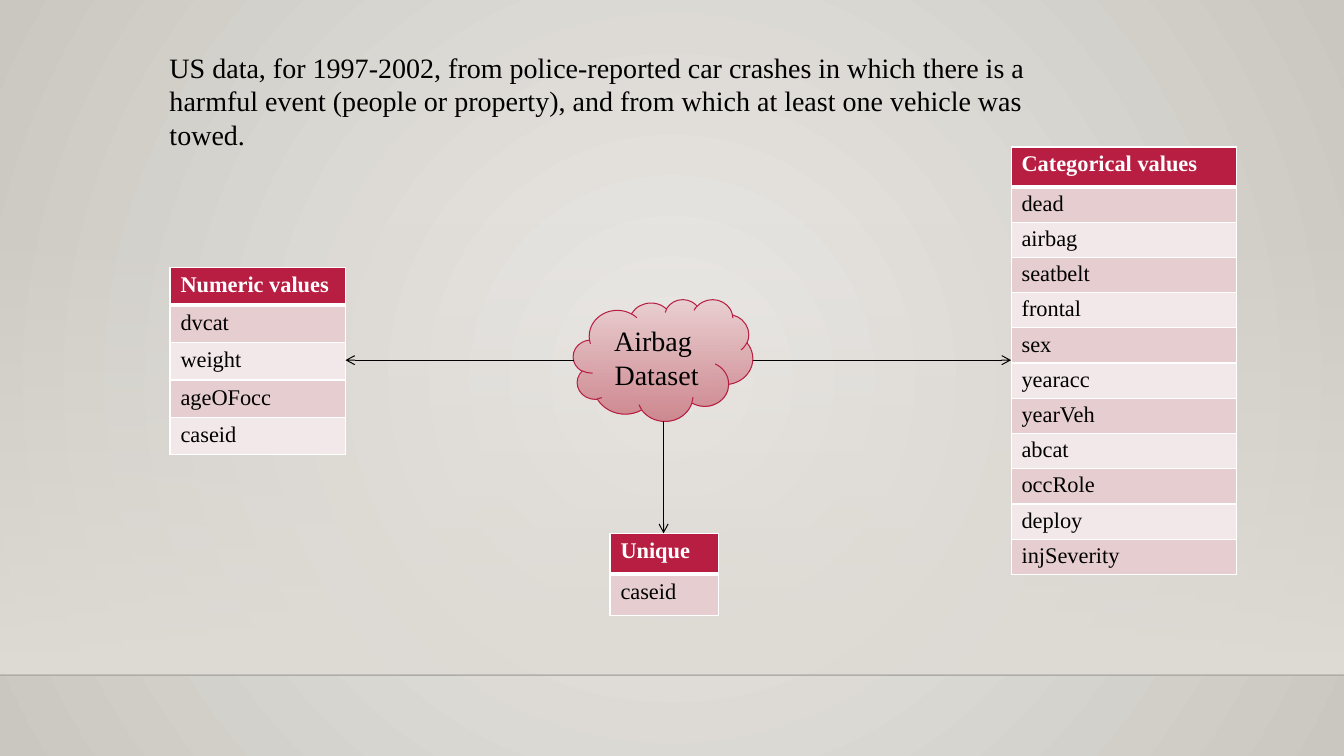
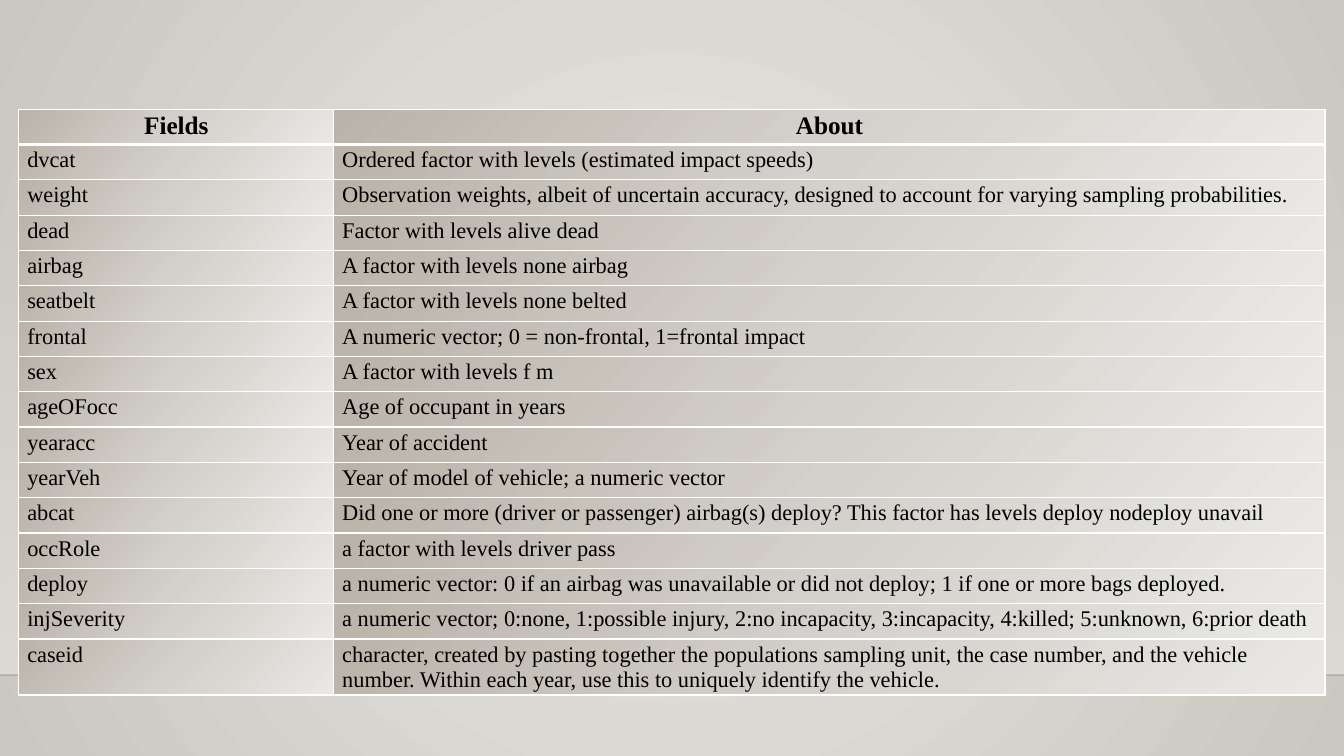
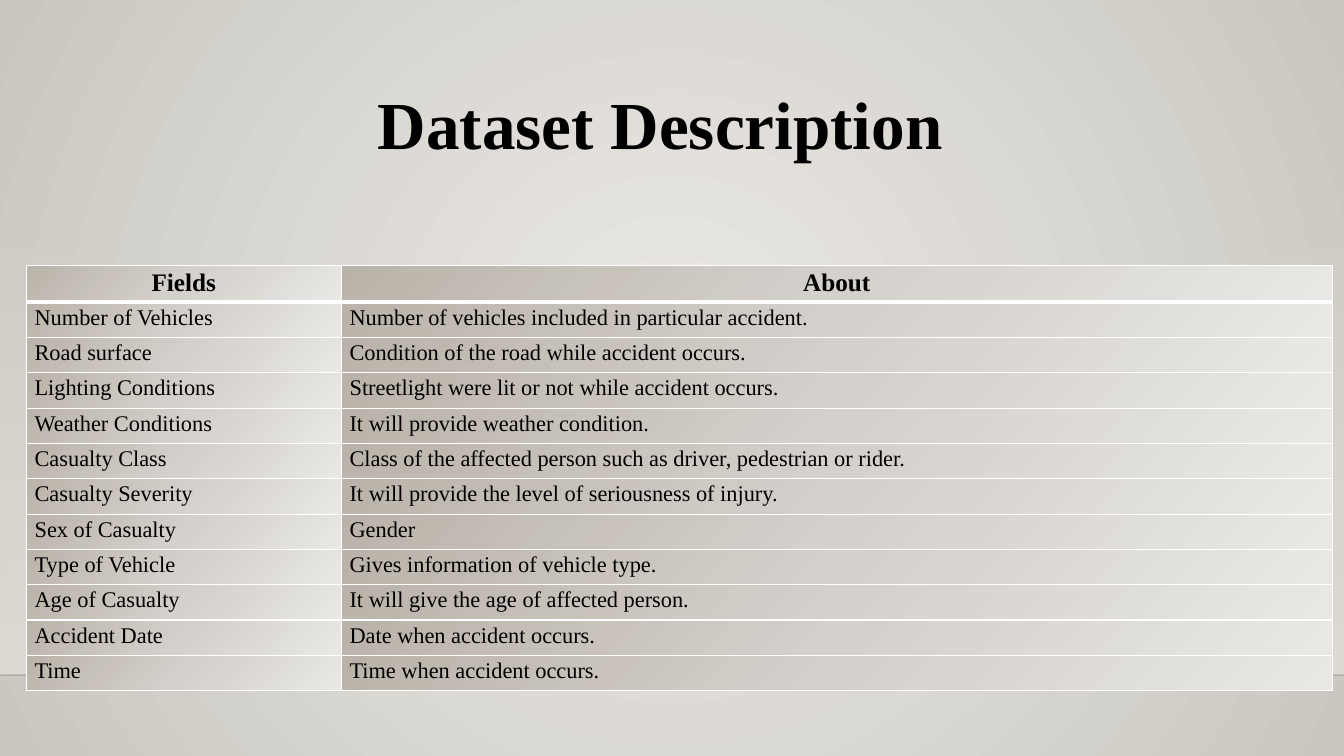
"""Build three slides that describe the fields of two road accident datasets."""
import pptx
import pptx.dml.color
import pptx.enum.shapes
import pptx.enum.text
import pptx.oxml
import pptx.oxml.ns
import pptx.util
from lxml import etree

FONT = "Times New Roman"
COLORS = {
    "ink": "000000", "white": "FFFFFF", "crimson": "B71E42", "floor": "000001",
    "band dark": "E6CDCF", "band light": "F3E8E9",
    "cloud top": "EAD1D3", "cloud base": "CD828A",
    "glow": "ECEAE7", "edge": "CAC7C1", "haze": "DFDBD5",
    "stone": "BAB3A9", "stone mid": "D4D0CB", "stone light": "E9E8E5",
}
RGB = {name: pptx.dml.color.RGBColor.from_string(code) for name, code in COLORS.items()}
STONE = [(0, "stone", 100), (50, "stone mid", 100), (100, "stone light", 100)]
qn = pptx.oxml.ns.qn
Pt = pptx.util.Pt
CENTER = pptx.enum.text.PP_ALIGN.CENTER

deck = pptx.Presentation()
deck.slide_width = pptx.util.Inches(40 / 3)
deck.slide_height = pptx.util.Inches(7.5)
COLUMNS, ROWS = 1280, 720
col = deck.slide_width // COLUMNS
row = deck.slide_height // ROWS


def paint_gradient(fill, holder, stops, angle=None):
    """Fill with (position, colour, opacity) stops, circular when no angle is given."""
    fill.gradient()
    gradient = next(holder.iter(qn("a:gradFill")))
    gradient.clear()
    stop_list = etree.SubElement(gradient, qn("a:gsLst"))
    for position, color, opacity in stops:
        stop = etree.SubElement(stop_list, qn("a:gs"), pos=str(position * 1000))
        tint = etree.SubElement(stop, qn("a:srgbClr"), val=COLORS[color])
        etree.SubElement(tint, qn("a:alpha"), val=str(opacity * 1000))
    if angle is None:
        circle = etree.SubElement(gradient, qn("a:path"), path="circle")
        etree.SubElement(circle, qn("a:fillToRect"), l="50000", t="50000", r="50000", b="50000")
    else:
        etree.SubElement(gradient, qn("a:lin"), ang=str(angle * 60000), scaled="0")


def add_field_table(slide, records, left, top, widths, heights, insets, stone=False):
    """Add a table with a header row, either crimson and banded or in stone gradients."""
    table = slide.shapes.add_table(
        len(records), len(widths), col * left, row * top,
        col * sum(widths), int(row * (heights[0] + heights[1] * (len(records) - 1)))).table
    for column, width in zip(table.columns, widths):
        column.width = col * width
    for r, record in enumerate(records):
        header = r == 0
        table.rows[r].height = int(row * heights[0 if header else 1])
        for c, words in enumerate(record):
            cell = table.cell(r, c)
            cell.margin_left = cell.margin_right = col * insets[0]
            cell.margin_top = cell.margin_bottom = row * insets[1]
            cell.text_frame.text = words
            paragraph = cell.text_frame.paragraphs[0]
            font = paragraph.runs[0].font
            font.name = FONT
            font.bold = header
            font.size = Pt(18 if header and stone else 16)
            font.color.rgb = RGB["white" if header and not stone else "ink"]
            if header and stone:
                paragraph.alignment = CENTER
            properties = cell._tc.get_or_add_tcPr()
            for side in ("lnL", "lnR", "lnT", "lnB"):
                thick = (r, side) in ((0, "lnB"), (1, "lnT"))
                border = etree.SubElement(properties, qn("a:" + side), w=str(Pt(3 if thick else 1)))
                solid = etree.SubElement(border, qn("a:solidFill"))
                etree.SubElement(solid, qn("a:srgbClr"), val=COLORS["white"])
            if stone:
                paint_gradient(cell.fill, properties, STONE, 45)
            else:
                cell.fill.solid()
                cell.fill.fore_color.rgb = RGB["crimson" if header else ("band light", "band dark")[r % 2]]


title_only, blank = deck.slide_layouts[5], deck.slide_layouts[6]
overview, airbag_fields, accident_fields = [
    deck.slides.add_slide(layout) for layout in (blank, blank, title_only)]

master = deck.slide_master
paint_gradient(master.background.fill, master.element, [(0, "glow", 100), (100, "edge", 100)])
haze = overview.shapes.add_shape(
    pptx.enum.shapes.MSO_SHAPE.RECTANGLE, 0, row * 212, deck.slide_width, row * 431)
haze.shadow.inherit = False
haze.line.fill.background()
paint_gradient(haze.fill, haze.element, [(0, "haze", 0), (100, "haze", 100)], 90)
floor = overview.shapes.add_connector(
    pptx.enum.shapes.MSO_CONNECTOR.STRAIGHT, 0, row * 643, deck.slide_width, row * 643)
floor.line.color.rgb = RGB["floor"]
floor.line.width = Pt(1)
etree.SubElement(next(floor.element.iter(qn("a:srgbClr"))), qn("a:alpha"), val="20000")
etree.SubElement(floor.element.spPr, qn("a:effectLst"))
for order, backdrop in enumerate((haze, floor)):
    next(backdrop.element.iter(qn("p:cNvPr"))).set("id", str(100 + order))
    master.shapes.element.insert(2 + order, backdrop.element)

cloud = overview.shapes.add_shape(
    pptx.enum.shapes.MSO_SHAPE.CLOUD, col * 546, row * 285, col * 171, row * 116)
cloud.shadow.inherit = False
cloud.line.color.rgb = RGB["crimson"]
cloud.line.width = Pt(0.75)
paint_gradient(cloud.fill, cloud.element, [(0, "cloud top", 100), (100, "cloud base", 92)], 90)
cloud.text_frame.text = "Airbag \nDataset"
cloud.text_frame.vertical_anchor = pptx.enum.text.MSO_ANCHOR.MIDDLE

summary = overview.shapes.add_textbox(col * 152, row * 43, col * 881, row * 107)
summary.text_frame.word_wrap = True
summary.text_frame.text = (
    "US data, for 1997-2002, from police-reported car crashes in which there is a harmful event "
    "(people or property), and from which at least one vehicle was towed.")

for paragraph in (*cloud.text_frame.paragraphs, *summary.text_frame.paragraphs):
    paragraph.runs[0].font.name = FONT
    paragraph.runs[0].font.size = Pt(20)
    paragraph.runs[0].font.color.rgb = RGB["ink"]
for paragraph in cloud.text_frame.paragraphs:
    paragraph.alignment = CENTER

numeric = ["Numeric values", "dvcat", "weight", "ageOFocc", "caseid"]
categorical = ["Categorical values", "dead", "airbag", "seatbelt", "frontal", "sex", "yearacc",
               "yearVeh", "abcat", "occRole", "deploy", "injSeverity"]
unique = ["Unique", "caseid"]
for fields, left, top, width, heights, insets in (
        (numeric, 162, 255, 167, (34, 34), (10, 5)),
        (categorical, 963, 140, 215, (38, 33), (10, 4)),
        (unique, 581, 508, 103, (39, 39), (10, 5))):
    add_field_table(overview, [[field] for field in fields], left, top, [width], heights, insets)

for x1, y1, x2, y2 in ((717, 343, 963, 343), (632, 401, 632, 508), (547, 343, 329, 343)):
    arrow = overview.shapes.add_connector(
        pptx.enum.shapes.MSO_CONNECTOR.STRAIGHT, col * x1, row * y1, col * x2, row * y2)
    arrow.line.color.rgb = RGB["ink"]
    arrow.line.width = Pt(0.75)
    etree.SubElement(next(arrow.element.iter(qn("a:ln"))), qn("a:tailEnd"), type="arrow")
    etree.SubElement(arrow.element.spPr, qn("a:effectLst"))

heading = accident_fields.shapes.title
heading.left, heading.top, heading.width, heading.height = col * 350, row * 74, col * 563, row * 87
heading.text_frame.text = "Dataset Description"
heading.text_frame.word_wrap = False
heading.text_frame.auto_size = pptx.enum.text.MSO_AUTO_SIZE.SHAPE_TO_FIT_TEXT
heading.text_frame.vertical_anchor = pptx.enum.text.MSO_ANCHOR.TOP
heading.text_frame.paragraphs[0].alignment = pptx.enum.text.PP_ALIGN.LEFT
heading_font = heading.text_frame.paragraphs[0].runs[0].font
heading_font.name = FONT
heading_font.size = Pt(48)
heading_font.bold = True
heading_font.color.rgb = RGB["ink"]

airbag_records = [
    ("Fields", "About"),
    ("dvcat", "Ordered factor with levels (estimated impact speeds)"),
    ("weight", "Observation weights, albeit of uncertain accuracy, designed to account for "
               "varying sampling probabilities."),
    ("dead", "Factor with levels alive dead"),
    ("airbag", "A factor with levels none airbag"),
    ("seatbelt", "A factor with levels none belted"),
    ("frontal", "A numeric vector; 0 = non-frontal, 1=frontal impact"),
    ("sex", "A factor with levels f m"),
    ("ageOFocc", "Age of occupant in years"),
    ("yearacc", "Year of accident"),
    ("yearVeh", "Year of model of vehicle; a numeric vector"),
    ("abcat", "Did one or more (driver or passenger) airbag(s) deploy? This factor has "
              "levels deploy nodeploy unavail"),
    ("occRole", "a factor with levels driver pass"),
    ("deploy", "a numeric vector: 0 if an airbag was unavailable or did not deploy; "
               "1 if one or more bags deployed."),
    ("injSeverity", "a numeric vector; 0:none, 1:possible injury, 2:no incapacity, "
                    "3:incapacity, 4:killed; 5:unknown, 6:prior death"),
    ("caseid", "character, created by pasting together the populations sampling unit, the case "
               "number, and the vehicle number. Within each year, use this to uniquely identify "
               "the vehicle."),
]
accident_records = [
    ("Fields", "About"),
    ("Number of Vehicles", "Number of vehicles included in particular accident."),
    ("Road surface", "Condition of the road while accident occurs."),
    ("Lighting Conditions", "Streetlight were lit or not while accident occurs."),
    ("Weather Conditions", "It will provide weather condition."),
    ("Casualty Class", "Class of the affected person such as driver, pedestrian or rider."),
    ("Casualty Severity", "It will provide the level of seriousness of injury."),
    ("Sex of Casualty", "Gender"),
    ("Type of Vehicle", "Gives information of vehicle type."),
    ("Age of Casualty", "It will give the age of affected person."),
    ("Accident Date", "Date when accident occurs."),
    ("Time", "Time when accident occurs."),
]
for slide, records, left, top in (
        (airbag_fields, airbag_records, 18, 104),
        (accident_fields, accident_records, 25, 253)):
    add_field_table(slide, records, left, top, [300, 944], (33.66, 33.66), (8, 3), stone=True)

deck.save("out.pptx")
